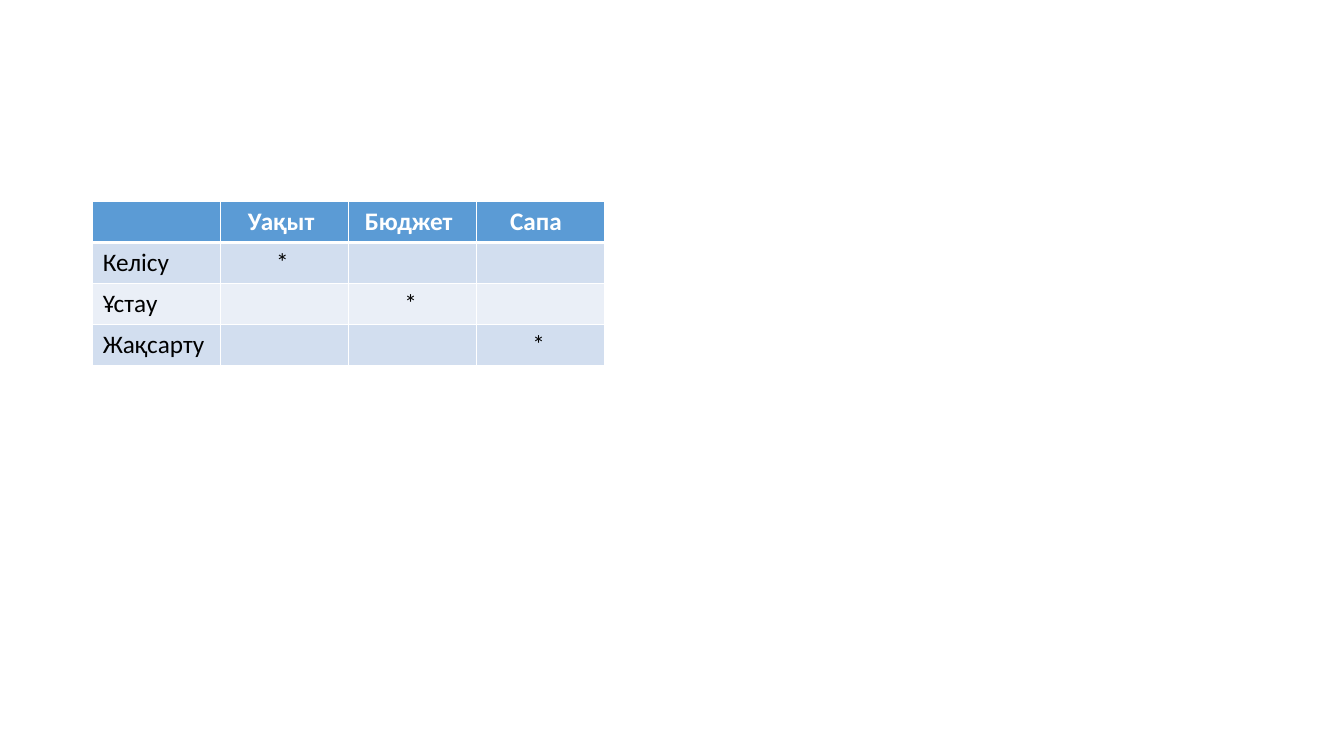
from dataclasses import dataclass

from lxml import etree
from pptx import Presentation
from pptx.dml.color import RGBColor
from pptx.oxml import ns
from pptx.util import Inches, Pt

WHITE = RGBColor(0xFF, 0xFF, 0xFF)
BLACK = RGBColor(0x00, 0x00, 0x00)
BLUE = RGBColor(0x5B, 0x9B, 0xD5)
PALE = RGBColor(0xD2, 0xDE, 0xEF)
LIGHT = RGBColor(0xEA, 0xEF, 0xF7)

COL = 1.27
ROW = 0.405
PAD = 0.1


@dataclass(frozen=True)
class Entry:
    text: str = ""
    inset: float = PAD


@dataclass(frozen=True)
class Band:
    cells: tuple[Entry, ...]
    fill: RGBColor
    color: RGBColor = BLACK
    bold: bool = False
    top: float = 1
    bottom: float = 1


NONE = Entry()
STAR = Entry("*", 0.55)
BANDS = (
    Band((NONE, Entry("Уақыт", 0.27), Entry("Бюджет", 0.16), Entry("Сапа", 0.33)),
         BLUE, WHITE, True, bottom=3),
    Band((Entry("Келісу"), STAR, NONE, NONE), PALE, top=3),
    Band((Entry("Ұстау"), NONE, STAR, NONE), LIGHT),
    Band((Entry("Жақсарту"), NONE, NONE, STAR), PALE),
)


def edge(cell, side: str, width: float) -> None:
    """Add a white border on one side; call before the fill is set."""
    props = cell._tc.get_or_add_tcPr()
    line = etree.SubElement(props, ns.qn(f"a:ln{side}"), w=str(Pt(width)))
    solid = etree.SubElement(line, ns.qn("a:solidFill"))
    etree.SubElement(solid, ns.qn("a:srgbClr"), val=str(WHITE))


def draw(cell, entry: Entry, band: Band) -> None:
    for side, width in zip("LRTB", (1, 1, band.top, band.bottom)):
        edge(cell, side, width)
    cell.fill.solid()
    cell.fill.fore_color.rgb = band.fill
    cell.margin_left = Inches(entry.inset)
    cell.text = entry.text
    font = cell.text_frame.paragraphs[0].font
    font.name = "Calibri"
    font.size = Pt(18)
    font.bold = band.bold
    font.color.rgb = band.color


def main() -> None:
    deck = Presentation()
    deck.slide_width, deck.slide_height = Inches(13.33), Inches(7.5)
    slide = deck.slides.add_slide(deck.slide_layouts[6])
    rows, cols = len(BANDS), len(BANDS[0].cells)
    table = slide.shapes.add_table(
        rows, cols, Inches(0.92), Inches(2), Inches(COL * cols), Inches(ROW * rows)
    ).table
    for col in table.columns:
        col.width = Inches(COL)
    for row, band in zip(table.rows, BANDS):
        row.height = Inches(ROW)
        for cell, entry in zip(row.cells, band.cells):
            draw(cell, entry, band)
    deck.save("out.pptx")


if __name__ == "__main__":
    main()
